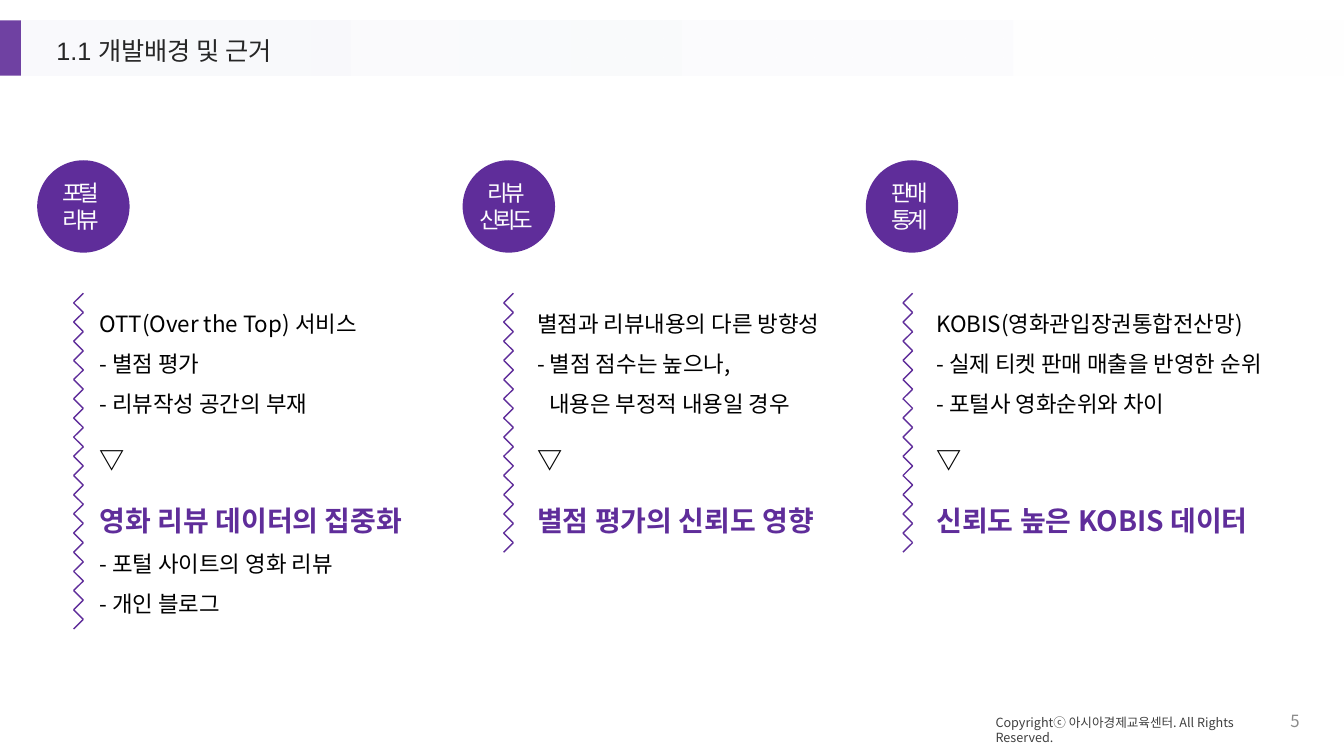
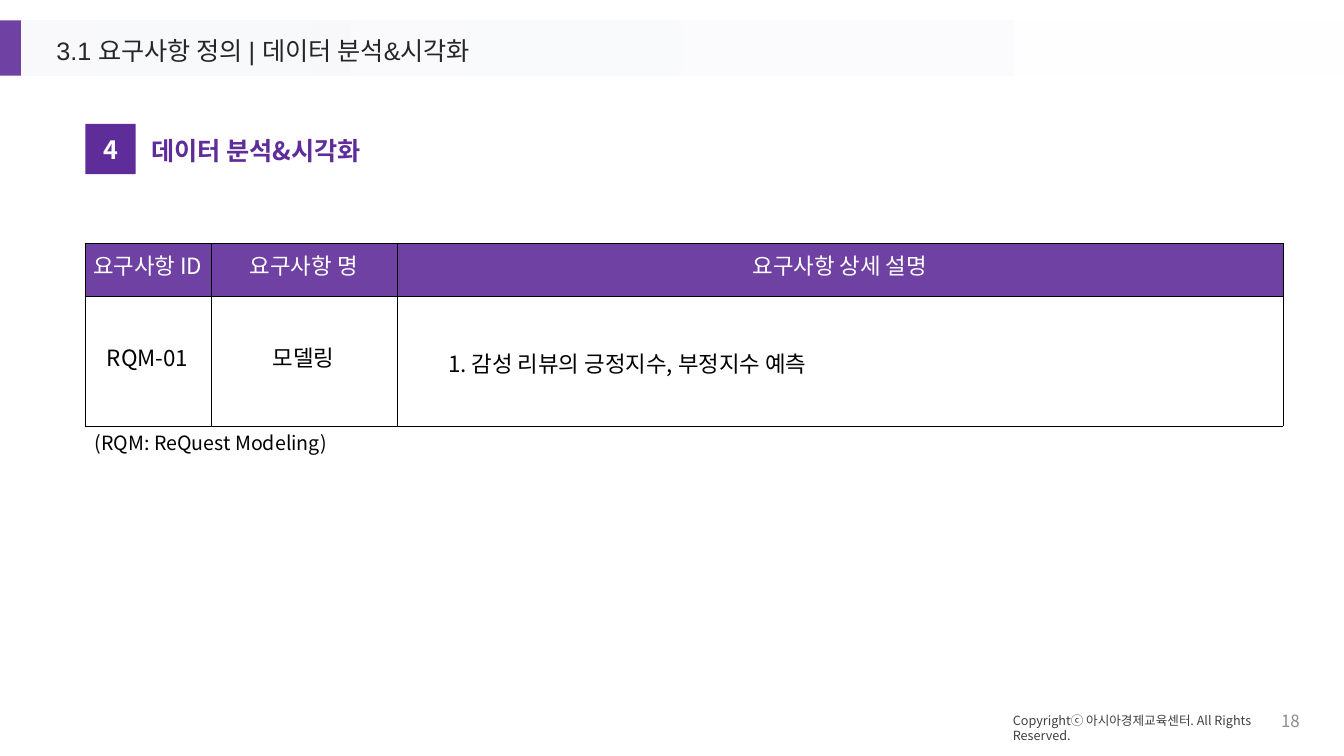
from dataclasses import dataclass
from typing import Any

from lxml import etree
from pptx import Presentation, util as u
from pptx.dml import color
from pptx.enum import shapes, text
from pptx.oxml import ns

# Shared look
PURPLE, BAND_PURPLE, BAND_TINT = "5F2D9A", "6F41A2", "F6F7FB"
BLACK, WHITE, TITLE_GRAY = "000000", "FFFFFF", "262626"
FOOTER_GRAY, NUMBER_GRAY = "404040", "8C8C8C"
FONT, TITLE_FONT = "Noto Sans CJK KR", "Arial"
LINE_HEIGHT = 1.19
LOOSE = 1.5
LEFT, CENTER, RIGHT = text.PP_ALIGN.LEFT, text.PP_ALIGN.CENTER, text.PP_ALIGN.RIGHT
TOP, MIDDLE = text.MSO_ANCHOR.TOP, text.MSO_ANCHOR.MIDDLE
COPYRIGHT = "Copyrightⓒ 아시아경제교육센터. All Rights Reserved."


@dataclass(frozen=True)
class Line:
    text: str
    size: float = 16
    color: str = BLACK
    bold: bool = False
    font: str = FONT
    align: Any = LEFT
    spacing: float = 1
    before: float = 0
    indent: float = 0
    tracking: float = 0


@dataclass(frozen=True)
class Column:
    circle_left: float
    zigzag_left: float
    text_left: float
    zigzag_count: int
    label: tuple[str, str]
    lines: tuple[Line, ...]


def rgb(value: str) -> color.RGBColor:
    return color.RGBColor.from_string(value)


def set_attributes(target: Any, values: dict[str, Any]) -> None:
    for name, value in values.items():
        setattr(target, name, value)


def write_lines(frame: Any, lines: list[Line] | tuple[Line, ...]) -> None:
    for index, line in enumerate(lines):
        paragraph = frame.paragraphs[0] if index == 0 else frame.add_paragraph()
        set_attributes(paragraph, {
            "alignment": line.align,
            "line_spacing": u.Pt(round(line.size * LINE_HEIGHT * line.spacing, 1)),
            "space_before": u.Pt(line.before),
            "space_after": u.Pt(0),
        })
        if line.indent:
            paragraph._p.get_or_add_pPr().set("marL", str(u.Pt(line.indent)))
        run = paragraph.add_run()
        run.text = line.text
        set_attributes(run.font, {
            "name": line.font, "size": u.Pt(line.size), "bold": line.bold,
        })
        run.font.color.rgb = rgb(line.color)
        properties = run._r.get_or_add_rPr()
        etree.SubElement(properties, ns.qn("a:ea"), typeface=FONT)
        if line.tracking:
            properties.set("spc", str(round(line.tracking * 100)))


def format_frame(frame: Any, anchor: Any = TOP,
                 insets: tuple[float, float, float, float] = (7.2, 3.6, 7.2, 3.6)) -> None:
    left, top, right, bottom = (u.Pt(inset) for inset in insets)
    set_attributes(frame, {
        "word_wrap": True, "auto_size": text.MSO_AUTO_SIZE.NONE,
        "vertical_anchor": anchor, "margin_left": left, "margin_top": top,
        "margin_right": right, "margin_bottom": bottom,
    })


def add_text(slide: Any, left: float, top: float, width: float, height: float,
             *lines: Line, anchor: Any = TOP) -> None:
    box = slide.shapes.add_textbox(u.Pt(left), u.Pt(top), u.Pt(width), u.Pt(height))
    format_frame(box.text_frame, anchor)
    write_lines(box.text_frame, lines)


def add_block(slide: Any, kind: Any, left: float, top: float,
              width: float, height: float, fill: str) -> Any:
    shape = slide.shapes.add_shape(kind, u.Pt(left), u.Pt(top), u.Pt(width), u.Pt(height))
    shape.shadow.inherit = False
    shape.fill.solid()
    shape.fill.fore_color.rgb = rgb(fill)
    shape.line.fill.background()
    return shape


def add_base_slide(presentation: Any, title_text: str, number: str,
                   footer_left: float, footer_top: float) -> Any:
    slide = presentation.slides.add_slide(presentation.slide_layouts[5])
    # Title band fading to white
    rectangle = shapes.MSO_SHAPE.RECTANGLE
    band = add_block(slide, rectangle, 15, 14.5, 945, 39.5, WHITE)
    band.fill.gradient()
    band.fill.gradient_angle = 0
    for stop, value in zip(band.fill.gradient_stops, (BAND_TINT, WHITE)):
        stop.color.rgb = rgb(value)
    tint = next(band.element.iter(ns.qn("a:srgbClr")))
    etree.SubElement(tint, ns.qn("a:alpha"), val="58000")
    add_block(slide, rectangle, 0, 14.5, 15, 39.5, BAND_PURPLE)
    # Title, brought in front of the band
    title = slide.shapes.title
    set_attributes(title, {"left": u.Pt(33), "top": u.Pt(24),
                           "width": u.Pt(356), "height": u.Pt(28)})
    format_frame(title.text_frame)
    write_lines(title.text_frame, [
        Line(title_text, 18, TITLE_GRAY, font=TITLE_FONT, spacing=0.9)])
    title.element.getparent().append(title.element)
    # Footer
    add_text(slide, footer_left, footer_top, 220, 29, Line(COPYRIGHT, 9, FOOTER_GRAY))
    add_text(slide, 890.5, 500.5, 45, 29,
             Line(number, 12, NUMBER_GRAY, align=RIGHT), anchor=MIDDLE)
    return slide


def add_zigzag(slide: Any, left: float, top: float, count: int) -> None:
    width, step = 6.9, 6.85
    group = slide.shapes.add_group_shape()
    for index in range(count):
        start, end = (left + width, left) if index % 2 == 0 else (left, left + width)
        connector = group.shapes.add_connector(
            shapes.MSO_CONNECTOR.STRAIGHT,
            u.Pt(start), u.Pt(top + index * step),
            u.Pt(end), u.Pt(top + (index + 1) * step))
        connector.line.color.rgb = rgb(PURPLE)
        connector.line.width = u.Pt(1)
        etree.SubElement(connector.element.spPr, ns.qn("a:effectLst"))


def detail(words: str, indent: float = 0) -> Line:
    return Line(words, spacing=LOOSE, indent=indent)


def conclusion(words: str) -> tuple[Line, Line]:
    return (Line("▽", 18, bold=True, spacing=LOOSE, before=8.9),
            Line(words, 20, PURPLE, True, spacing=LOOSE, before=8.9))


COLUMNS = (
    Column(26.6, 52.6, 64, 35, ("포털", "리뷰"), (
        detail("OTT(Over the Top) 서비스"),
        detail("- 별점 평가"),
        detail("- 리뷰작성 공간의 부재"),
        *conclusion("영화 리뷰 데이터의 집중화"),
        detail("- 포털 사이트의 영화 리뷰"),
        detail("- 개인 블로그"))),
    Column(330.5, 359.8, 376.6, 27, ("리뷰", "신뢰도"), (
        detail("별점과 리뷰내용의 다른 방향성"),
        detail("- 별점 점수는 높으나,"),
        detail("내용은 부정적 내용일 경우", 8.5),
        *conclusion("별점 평가의 신뢰도 영향"))),
    Column(618.5, 645, 661.7, 27, ("판매", "통계"), (
        detail("KOBIS(영화관입장권통합전산망)"),
        detail("- 실제 티켓 판매 매출을 반영한 순위"),
        detail("- 포털사 영화순위와 차이"),
        *conclusion("신뢰도 높은 KOBIS 데이터"))),
)


def build_background_slide(presentation: Any) -> None:
    slide = add_base_slide(presentation, "1.1 개발배경 및 근거", "5", 704, 507)
    for column in COLUMNS:
        circle = add_block(slide, shapes.MSO_SHAPE.OVAL,
                           column.circle_left, 114.5, 66, 66, PURPLE)
        format_frame(circle.text_frame, MIDDLE, (0, 0, 3.6, 0))
        write_lines(circle.text_frame, [
            Line(word, color=WHITE, align=CENTER, tracking=-3) for word in column.label])
        add_zigzag(slide, column.zigzag_left, 209.5, column.zigzag_count)
        add_text(slide, column.text_left, 208.5, 270, 250, *column.lines)


def format_cell(cell: Any, line: Line, fill: str | None) -> None:
    set_attributes(cell, {
        "vertical_anchor": MIDDLE, "margin_left": u.Pt(0.7), "margin_top": u.Pt(0.7),
        "margin_right": u.Pt(0.7), "margin_bottom": u.Pt(3.6),
    })
    # Borders come before the fill
    properties = cell._tc.get_or_add_tcPr()
    for side in ("lnL", "lnR", "lnT", "lnB"):
        border = etree.SubElement(properties, ns.qn(f"a:{side}"), w=str(u.Pt(0.25)))
        solid = etree.SubElement(border, ns.qn("a:solidFill"))
        etree.SubElement(solid, ns.qn("a:srgbClr"), val=BLACK)
    if fill:
        cell.fill.solid()
        cell.fill.fore_color.rgb = rgb(fill)
    else:
        cell.fill.background()
    write_lines(cell.text_frame, [line])


def build_requirements_slide(presentation: Any) -> None:
    slide = add_base_slide(presentation, "3.1 요구사항 정의 | 데이터 분석&시각화",
                           "18", 716.4, 505.5)
    # Section heading
    badge = add_block(slide, shapes.MSO_SHAPE.RECTANGLE, 61, 88.5, 36, 36, PURPLE)
    format_frame(badge.text_frame, MIDDLE)
    write_lines(badge.text_frame, [Line("4", 18, WHITE, True, align=CENTER)])
    add_text(slide, 100.8, 93, 204, 29, Line("데이터 분석&시각화", 18, PURPLE, True))
    # Requirements table
    widths, heights = (90, 133, 633), (38, 93)
    headers = ("요구사항 ID", "요구사항 명", "요구사항 상세 설명")
    rows = (
        [Line(header, color=WHITE, align=CENTER) for header in headers],
        [Line("RQM-01", align=CENTER), Line("모델링", align=CENTER),
         Line("1. 감성 리뷰의 긍정지수, 부정지수 예측", spacing=LOOSE, indent=36)],
    )
    table = slide.shapes.add_table(
        len(rows), len(widths), u.Pt(60.5), u.Pt(173.5),
        u.Pt(sum(widths)), u.Pt(sum(heights))).table
    set_attributes(table, {"first_row": False, "horz_banding": False})
    for table_column, width in zip(table.columns, widths):
        table_column.width = u.Pt(width)
    for row_index, (lines, height) in enumerate(zip(rows, heights)):
        table.rows[row_index].height = u.Pt(height)
        for column_index, line in enumerate(lines):
            format_cell(table.cell(row_index, column_index), line,
                        BAND_PURPLE if row_index == 0 else None)
    add_text(slide, 60.5, 304.5, 198, 24, Line("(RQM: ReQuest Modeling)", 14))


def main() -> None:
    presentation = Presentation()
    presentation.slide_width, presentation.slide_height = u.Pt(960), u.Pt(540)
    build_background_slide(presentation)
    build_requirements_slide(presentation)
    presentation.save("out.pptx")


if __name__ == "__main__":
    main()
